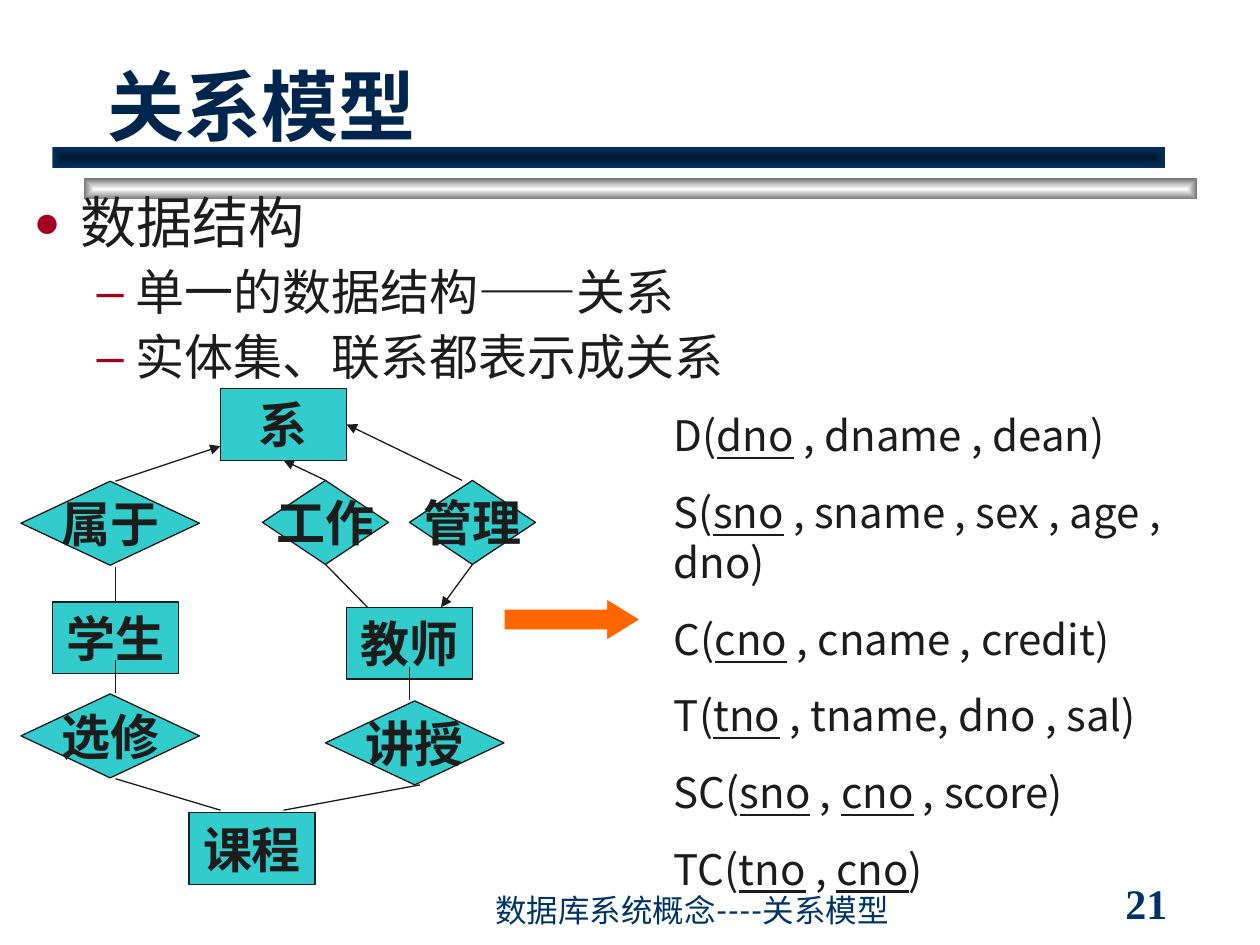
"""Build the slide on the relational model with its E-R diagram and schemas."""
from dataclasses import dataclass
from typing import Optional, Union

from lxml.etree import SubElement
from pptx import Presentation
from pptx.dml.color import RGBColor
from pptx.enum.shapes import MSO_CONNECTOR as Connector, MSO_SHAPE as Preset
from pptx.enum.text import MSO_ANCHOR as Anchor, MSO_AUTO_SIZE as AutoSize, PP_ALIGN as Align
from pptx.oxml import parse_xml
from pptx.oxml.ns import nsdecls, qn
from pptx.util import Pt

INK, NAVY, TITLE, RED = "1C1C1C", "003366", "00264D", "A50021"
TEAL, ORANGE, WHITE = "33CCCC", "FF6600", "FFFFFF"
LATO, TIMES, NOTO = "Lato", "Times New Roman", "Noto Sans CJK JP"


@dataclass(frozen=True)
class Box:
    left: float
    top: float
    width: float
    height: float


@dataclass(frozen=True)
class Style:
    size: float
    font: str
    color: str
    bold: bool = False


@dataclass(frozen=True)
class Node:
    label: str
    left: float
    top: float
    relationship: bool = False
    width: float = 72


@dataclass(frozen=True)
class Site:
    label: str
    index: int


@dataclass(frozen=True)
class Point:
    x: float
    y: float


@dataclass(frozen=True)
class Link:
    start: Union[Site, Point]
    end: Union[Site, Point]
    arrow: bool = False


@dataclass(frozen=True)
class Bullet:
    runs: tuple
    level: int
    style: Style
    margin: float
    indent: float
    before: float
    mark: str
    percent: Optional[int] = None


NODES = [
    Node("学生", 30, 344),
    Node("课程", 108, 464.5),
    Node("选修", 12, 396.5, True, 102),
    Node("属于", 12, 275, True, 102),
    Node("系", 126, 222),
    Node("教师", 198, 347),
    Node("讲授", 186, 400.5, True, 102),
    Node("工作", 150, 274.5, True),
    Node("管理", 234, 274.5, True),
]
LINKS = [
    Link(Site("学生", 0), Point(66, 324)),
    Link(Point(66, 396), Point(66, 377)),
    Link(Point(126, 463), Point(66, 445)),
    Link(Point(66, 275), Point(126, 255), True),
    Link(Point(234, 400), Point(234, 381)),
    Link(Point(240, 448.5), Point(162, 463)),
    Link(Site("工作", 0), Site("系", 2), True),
    Link(Site("工作", 2), Point(210, 347)),
    Link(Point(264, 274.5), Site("系", 3), True),
    Link(Site("管理", 2), Point(252, 347), True),
]
TOP_STYLE, SUB_STYLE = Style(32, LATO, INK), Style(28, LATO, INK)
DASH_STYLE = Style(28, TIMES, INK)
SUB_LAYOUT = (58.5, -22.5, 7, "–")
BULLETS = [
    Bullet((("数据结构", TOP_STYLE),), 0, TOP_STYLE, 27, -27, 8, "●", 80),
    Bullet((("单一的数据结构", SUB_STYLE), ("——", DASH_STYLE), ("关系", SUB_STYLE)),
           1, SUB_STYLE, *SUB_LAYOUT),
    Bullet((("实体集、联系都表示成关系", SUB_STYLE),), 1, SUB_STYLE, *SUB_LAYOUT),
]
SCHEMAS = [
    "D(_dno_ , dname , dean)",
    "S(_sno_ , sname , sex , age , dno)",
    "C(_cno_ , cname , credit)",
    "T(_tno_ , tname, dno , sal)",
    "SC(_sno_ , _cno_ , score)",
    "TC(_tno_ , _cno_)",
]


def paint(color_format, color: str) -> None:
    color_format.rgb = RGBColor.from_string(color)


def place(shape, box: Box) -> None:
    shape.left, shape.top = Pt(box.left), Pt(box.top)
    shape.width, shape.height = Pt(box.width), Pt(box.height)


def add_run(paragraph, text: str, style: Style, underline: bool = False) -> None:
    run = paragraph.add_run()
    run.text = text
    run.font.size, run.font.name = Pt(style.size), style.font
    run.font.bold = style.bold
    if underline:
        run.font.underline = True
    paint(run.font.color, style.color)


def add_preset(slide, preset, box: Box, fill: str, line: str):
    shape = slide.shapes.add_shape(
        preset, Pt(box.left), Pt(box.top), Pt(box.width), Pt(box.height))
    shape.shadow.inherit = False
    shape.fill.solid()
    paint(shape.fill.fore_color, fill)
    paint(shape.line.color, line)
    shape.line.width = Pt(0.75)
    return shape


def add_bar(slide, box: Box, center: str, edge: str) -> None:
    bar = add_preset(slide, Preset.RECTANGLE, box, edge, edge)
    bar.line.fill.background()
    solid = bar.element.spPr.find(qn("a:solidFill"))
    solid.getparent().replace(solid, parse_xml(
        f'<a:gradFill {nsdecls("a")} rotWithShape="1"><a:gsLst>'
        f'<a:gs pos="0"><a:srgbClr val="{center}"/></a:gs>'
        f'<a:gs pos="100000"><a:srgbClr val="{edge}"/></a:gs></a:gsLst>'
        '<a:path path="rect"><a:fillToRect l="50000" t="50000" r="50000" b="50000"/>'
        '</a:path></a:gradFill>'))
    slide.shapes._spTree.insert(2, bar.element)


def add_text_box(slide, box: Box, anchor, wrap: bool = True):
    shape = slide.shapes.add_textbox(
        Pt(box.left), Pt(box.top), Pt(box.width), Pt(box.height))
    frame = shape.text_frame
    frame.word_wrap, frame.vertical_anchor = wrap, anchor
    return frame


def add_bullet(paragraph, bullet: Bullet) -> None:
    paragraph.level, paragraph.alignment = bullet.level, Align.JUSTIFY
    paragraph.line_spacing, paragraph.space_before = 0.9, Pt(bullet.before)
    properties = paragraph._p.get_or_add_pPr()
    properties.set("marL", str(Pt(bullet.margin)))
    properties.set("indent", str(Pt(bullet.indent)))
    SubElement(SubElement(properties, qn("a:buClr")), qn("a:srgbClr"), val=RED)
    if bullet.percent:
        SubElement(properties, qn("a:buSzPct"), val=str(bullet.percent * 1000))
    SubElement(properties, qn("a:buChar"), char=bullet.mark)
    for text, style in bullet.runs:
        add_run(paragraph, text, style)


def add_node(slide, node: Node):
    preset, height = (Preset.DIAMOND, 48) if node.relationship else (Preset.RECTANGLE, 41)
    shape = add_preset(slide, preset, Box(node.left, node.top, node.width, height), TEAL, INK)
    frame = shape.text_frame
    frame.word_wrap = not node.relationship
    frame.vertical_anchor = Anchor.MIDDLE if node.relationship else Anchor.TOP
    frame.auto_size = AutoSize.NONE if node.relationship else AutoSize.SHAPE_TO_FIT_TEXT
    frame.paragraphs[0].alignment = Align.CENTER
    add_run(frame.paragraphs[0], node.label, Style(28, TIMES, INK, True))
    return shape


def add_link(slide, link: Link, shapes: dict) -> None:
    connector = slide.shapes.add_connector(Connector.STRAIGHT, 0, 0, 0, 0)
    if isinstance(link.start, Site):
        connector.begin_connect(shapes[link.start.label], link.start.index)
    else:
        connector.begin_x, connector.begin_y = Pt(link.start.x), Pt(link.start.y)
    if isinstance(link.end, Site):
        connector.end_connect(shapes[link.end.label], link.end.index)
    else:
        connector.end_x, connector.end_y = Pt(link.end.x), Pt(link.end.y)
    paint(connector.line.color, INK)
    connector.line.width = Pt(0.75)
    if link.arrow:
        SubElement(connector.line._get_or_add_ln(), qn("a:tailEnd"), type="triangle")
    SubElement(connector._element.spPr, qn("a:effectLst"))


def main() -> None:
    presentation = Presentation()
    presentation.slide_width, presentation.slide_height = Pt(720), Pt(540)
    slide = presentation.slides.add_slide(presentation.slide_layouts[1])
    add_bar(slide, Box(30, 84, 636, 12), "00182F", NAVY)
    add_bar(slide, Box(48, 102, 636, 12), WHITE, "767676")

    title, body = slide.shapes.title, slide.placeholders[1]
    place(title, Box(54, 24, 612, 66))
    title.text_frame.vertical_anchor = Anchor.BOTTOM
    title.text_frame.paragraphs[0].alignment = Align.LEFT
    add_run(title.text_frame.paragraphs[0], "关系模型", Style(44, LATO, TITLE, True))
    place(body, Box(12, 108, 696, 120))
    for frame in (title.text_frame, body.text_frame):
        frame.auto_size = AutoSize.NONE
    for index, bullet in enumerate(BULLETS):
        frame = body.text_frame
        add_bullet(frame.add_paragraph() if index else frame.paragraphs[0], bullet)

    number = add_text_box(slide, Box(636, 504, 78, 24), Anchor.MIDDLE, False)
    add_run(number.paragraphs[0], "21", Style(24, TIMES, NAVY, True))
    footer = add_text_box(slide, Box(276, 510, 294, 24), Anchor.BOTTOM)
    add_run(footer.paragraphs[0], "数据库系统概念----关系模型", Style(18, LATO, NAVY))

    arrow = add_preset(slide, Preset.RIGHT_ARROW, Box(288, 342, 78, 24), ORANGE, WHITE)
    arrow.adjustments[0], arrow.adjustments[1] = 0.5, 0.81
    schemas = add_text_box(slide, Box(378, 230.5, 324, 283.5), Anchor.TOP)
    schemas.auto_size = AutoSize.SHAPE_TO_FIT_TEXT
    for index, schema in enumerate(SCHEMAS):
        paragraph = schemas.add_paragraph() if index else schemas.paragraphs[0]
        paragraph.space_before = Pt(15)
        for part, text in enumerate(schema.split("_")):
            add_run(paragraph, text, Style(24, NOTO, INK), part % 2 == 1)

    shapes = {node.label: add_node(slide, node) for node in NODES}
    for link in LINKS:
        add_link(slide, link, shapes)
    presentation.save("out.pptx")


if __name__ == "__main__":
    main()
